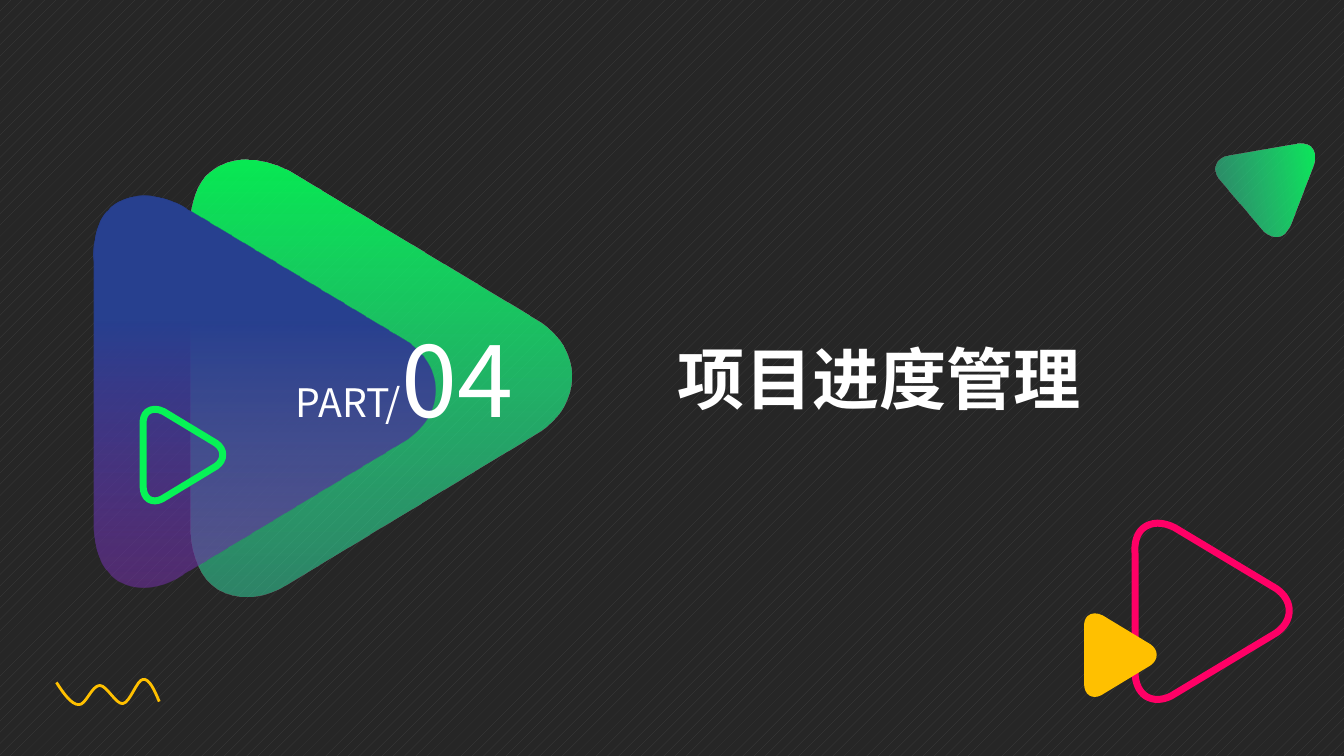
import pptx
import pptx.util
import pptx.dml.color
import pptx.enum.dml
import pptx.enum.text
import pptx.oxml.ns
from dataclasses import dataclass
from lxml import etree


@dataclass(frozen=True)
class Theme:
    font: str = "Noto Sans CJK SC"
    ground: str = "262626"
    hatch: str = "404040"
    white: str = "FFFFFF"
    pink: str = "FF0066"
    amber: str = "FFC000"
    lime: str = "07F356"
    # Gradient stops: position in percent, colour, opacity in percent
    green_fade: tuple = ((0, "07F757", 94), (100, "36DEA6", 51))
    blue_fade: tuple = ((31, "27408F", 100), (100, "7030A0", 58))
    label_size: int = 28
    number_size: int = 72
    title_size: int = 48
    thick: float = 5
    thin: float = 2


THEME = Theme()

# Content: boxes are (column, row, columns, rows) on a 160 by 90 grid
COLUMNS, ROWS = 160, 90
PART_RUNS = [("PART/", THEME.label_size), ("04", THEME.number_size)]
PART_BOX = (22.8, 37.08, 39.48, 15.72)
TITLE_RUNS = [("项目进度管理", THEME.title_size)]
TITLE_BOX = (66.48, 39.6, 76.44, 10.92)

BACK_TRIANGLES = [
    dict(box=(133.8, 63.6, 21, 18.36), line=THEME.pink),
    dict(box=(128.4, 73.68, 9.96, 8.64), fill=THEME.amber),
    dict(box=(19.32, 22.32, 52.08, 45.36), fade=THEME.green_fade),
    dict(box=(8.16, 26.28, 46.68, 40.68), fade=THEME.blue_fade),
]
FRONT_TRIANGLES = [
    dict(box=(16.32, 49.44, 10.92, 9.48), line=THEME.lime),
    dict(box=(145.2, 17.76, 12, 10.44), fade=THEME.green_fade, turn=170.3),
]
WAVE_BOX = (6.72, 80.88, 12.24, 3)

# Bezier curves of the upright rounded triangle, joined by straight sides
TRIANGLE_EXTENT = (434, 378)
TRIANGLE_CURVES = [
    [(215, 0), (237, 0), (256, 12), (270, 32)],
    [(425, 289), (436, 311), (437, 333), (426, 351)],
    [(426, 351), (415, 368), (394, 377), (369, 378)],
    [(74, 378), (49, 380), (26, 374), (13, 359)],
    [(13, 359), (-4, 339), (-4, 310), (11, 281)],
    [(161, 32), (175, 12), (194, 0), (215, 0)],
]
WAVE_EXTENT = (102, 25)
WAVE_CURVES = [
    [(0, 3), (7, 14), (15, 25), (22, 25)],
    [(22, 25), (29, 26), (35, 6), (43, 6)],
    [(43, 6), (50, 6), (59, 25), (66, 24)],
    [(66, 24), (73, 23), (80, 0), (86, 0)],
    [(86, 0), (92, -1), (97, 10), (102, 22)],
]
PATH_SCALE = 1000

# Slide and background
deck = pptx.Presentation()
deck.slide_width = pptx.util.Inches(13.333)
deck.slide_height = pptx.util.Inches(7.5)
slide = deck.slides.add_slide(deck.slide_layouts[6])


def rgb(code):
    return pptx.dml.color.RGBColor.from_string(code)


backdrop = slide.background.fill
backdrop.patterned()
backdrop.pattern = pptx.enum.dml.MSO_PATTERN.PERCENT_10
backdrop.fore_color.rgb = rgb(THEME.hatch)
backdrop.back_color.rgb = rgb(THEME.ground)


def place(box):
    col, row, width, height = box
    cell_w, cell_h = deck.slide_width / COLUMNS, deck.slide_height / ROWS
    return [round(v) for v in (col * cell_w, row * cell_h, width * cell_w, height * cell_h)]


def add_step(outline, tag, points=()):
    step = etree.SubElement(outline, pptx.oxml.ns.qn(tag))
    for x, y in points:
        etree.SubElement(step, pptx.oxml.ns.qn("a:pt"),
                         x=str(x * PATH_SCALE), y=str(y * PATH_SCALE))


def draw_curves(shape, curves, extent, closed):
    outline = next(shape._element.spPr.iter(pptx.oxml.ns.qn("a:path")))
    for step in list(outline):
        outline.remove(step)
    for side, length in zip("wh", extent):
        outline.set(side, str(length * PATH_SCALE))
    pen = curves[0][0]
    add_step(outline, "a:moveTo", [pen])
    for start, *rest in curves:
        if start != pen:
            add_step(outline, "a:lnTo", [start])
        add_step(outline, "a:cubicBezTo", rest)
        pen = rest[-1]
    if closed:
        add_step(outline, "a:close")


def add_fade(shape, stops):
    shape.fill.gradient()
    shape.fill.gradient_angle = 0
    for stop, (position, color, _) in zip(shape.fill.gradient_stops, stops):
        stop.position = position / 100
        stop.color.rgb = rgb(color)
    colors = shape._element.spPr.iter(pptx.oxml.ns.qn("a:srgbClr"))
    for color, (_, _, opacity) in zip(colors, stops):
        etree.SubElement(color, pptx.oxml.ns.qn("a:alpha"), val=str(opacity * 1000))


def add_outline(curves, extent, box, closed=True, turn=0, fill=None, fade=None,
                line=None, weight=THEME.thick):
    left, top, width, height = place(box)
    right, bottom = left + width, top + height
    builder = slide.shapes.build_freeform(left, top)
    builder.add_line_segments([(right, top), (right, bottom), (left, bottom)])
    shape = builder.convert_to_shape()
    draw_curves(shape, curves, extent, closed)
    shape.rotation = turn
    shape.shadow.inherit = False
    if fade:
        add_fade(shape, fade)
    elif fill:
        shape.fill.solid()
        shape.fill.fore_color.rgb = rgb(fill)
    else:
        shape.fill.background()
    if line:
        shape.line.color.rgb = rgb(line)
        shape.line.width = pptx.util.Pt(weight)
    else:
        shape.line.fill.background()


def add_text(runs, box, align, bold=False, color=THEME.white):
    frame = slide.shapes.add_textbox(*place(box)).text_frame
    frame.word_wrap = True
    frame.auto_size = pptx.enum.text.MSO_AUTO_SIZE.SHAPE_TO_FIT_TEXT
    paragraph = frame.paragraphs[0]
    paragraph.alignment = align
    for words, size in runs:
        run = paragraph.add_run()
        run.text = words
        run.font.size = pptx.util.Pt(size)
        run.font.bold = bold
        run.font.color.rgb = rgb(color)
        run.font.name = THEME.font
        etree.SubElement(run.font._element, pptx.oxml.ns.qn("a:ea"), typeface=THEME.font)


def add_triangles(triangles):
    for triangle in triangles:
        add_outline(TRIANGLE_CURVES, TRIANGLE_EXTENT, **{"turn": 90, **triangle})


# Parts from back to front
add_triangles(BACK_TRIANGLES)
add_text(PART_RUNS, PART_BOX, pptx.enum.text.PP_ALIGN.RIGHT)
add_triangles(FRONT_TRIANGLES)
add_outline(WAVE_CURVES, WAVE_EXTENT, WAVE_BOX, closed=False, line=THEME.amber,
            weight=THEME.thin)
add_text(TITLE_RUNS, TITLE_BOX, pptx.enum.text.PP_ALIGN.CENTER, bold=True)

deck.save("out.pptx")
